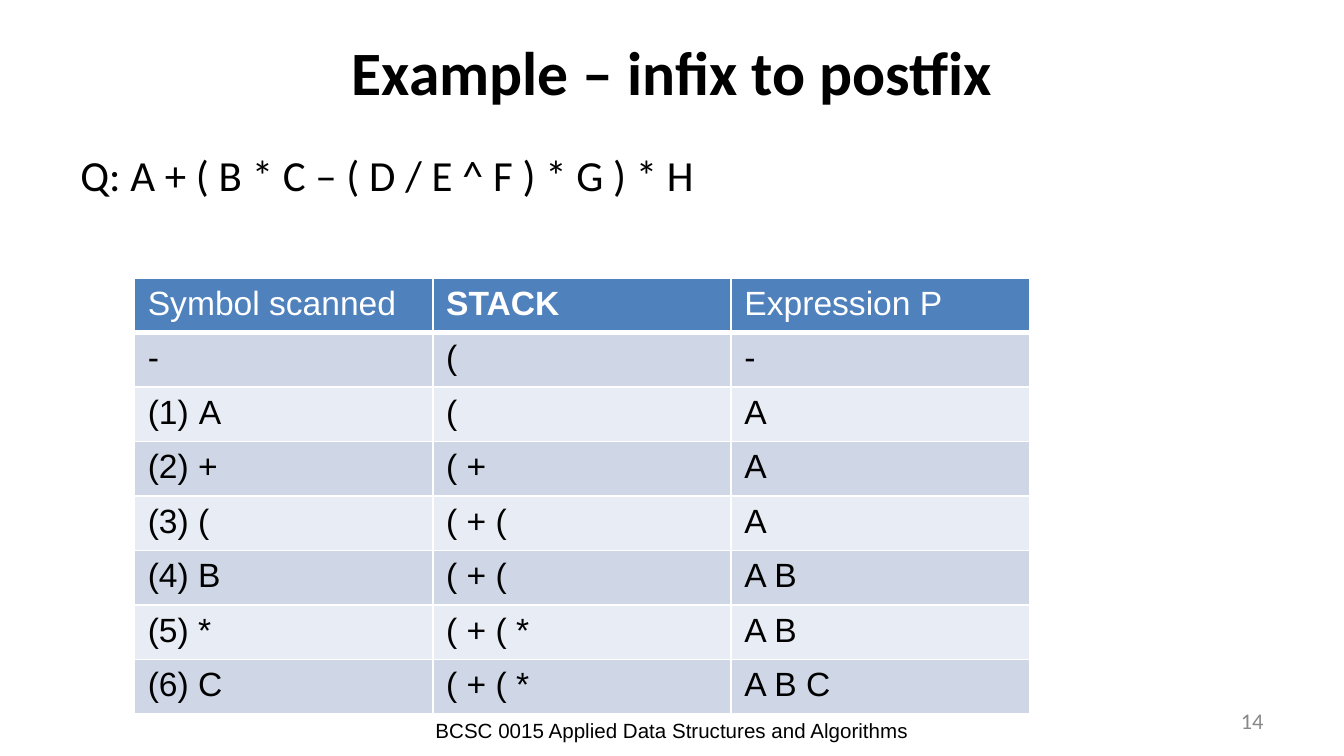
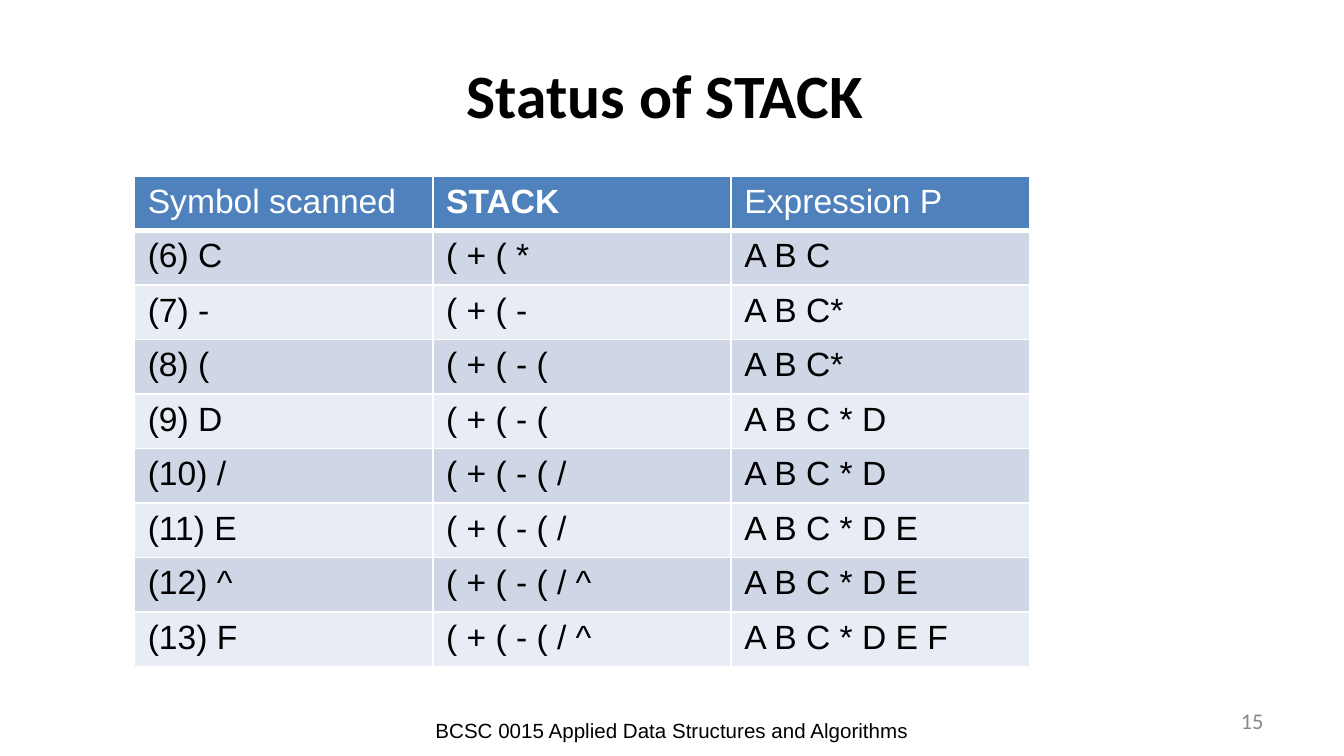
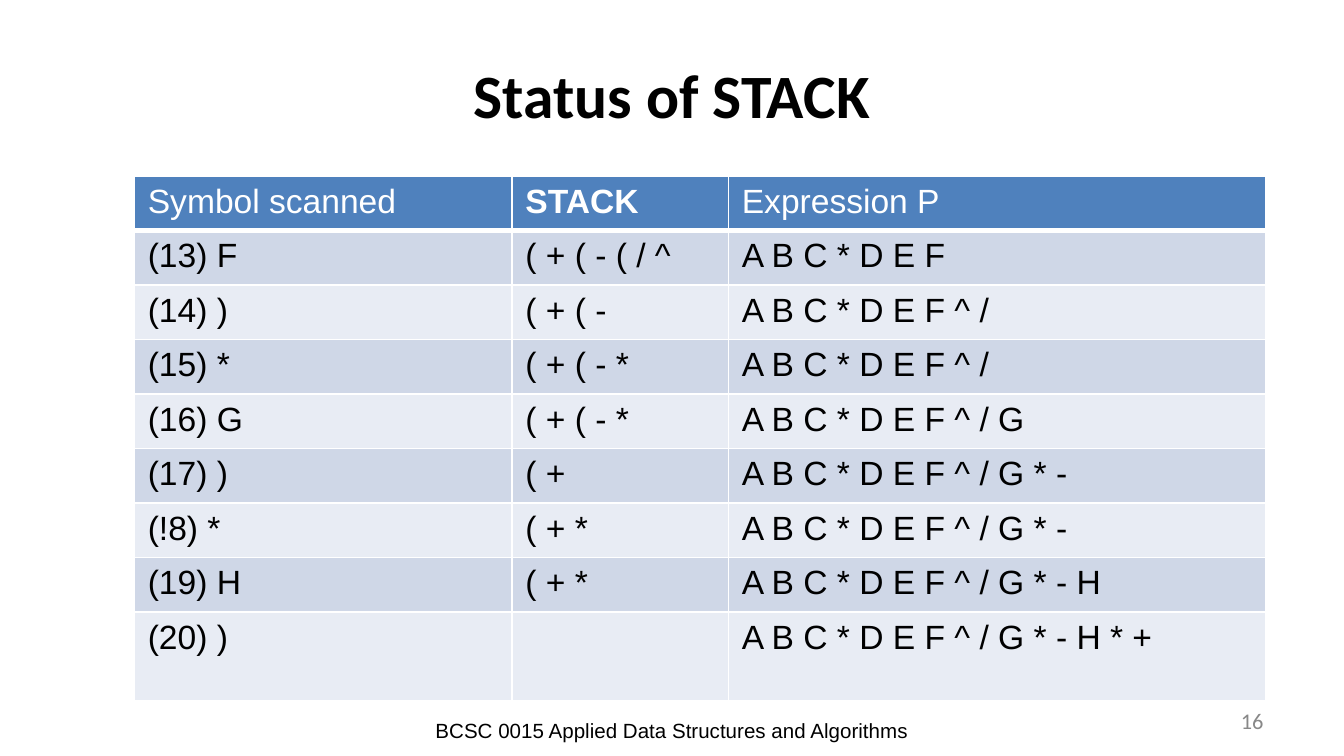
"""Build three slides that trace an infix to postfix conversion with a stack."""
from lxml.etree import SubElement
from pptx import Presentation
from pptx.dml.color import RGBColor
from pptx.enum.text import MSO_ANCHOR as Anchor, PP_ALIGN as Align
from pptx.oxml.ns import qn
from pptx.util import Inches, Pt

BLACK = RGBColor(0x00, 0x00, 0x00)
WHITE = RGBColor(0xFF, 0xFF, 0xFF)
GRAY = RGBColor(0x88, 0x88, 0x88)
HEADER_BLUE = RGBColor(0x4F, 0x81, 0xBD)
BANDS = [RGBColor(0xE8, 0xEC, 0xF4), RGBColor(0xCF, 0xD7, 0xE7)]

FOOTER = "BCSC 0015 Applied Data Structures and Algorithms"
HEADERS = ["Symbol scanned", "STACK", "Expression P"]
ROW_HEIGHT = 3.65 / 9
HANGING = 0.38

SLIDES = [
    {
        "title": "Example – infix to postfix",
        "title_top": 0.06,
        "question": "Q: A + ( B * C – ( D / E ^ F ) * G ) * H",
        "number": 14,
        "table_top": 2.07,
        "columns": [2.22, 2.22, 2.22],
        "steps": [
            ("-", "(", "-"),
            ("A", "(", "A"),
            ("(2) +", "( +", "A"),
            ("(3) (", "( + (", "A"),
            ("(4) B", "( + (", "A B"),
            ("(5) *", "( + ( *", "A B"),
            ("(6) C", "( + ( *", "A B C"),
        ],
    },
    {
        "title": "Status of STACK ",
        "title_top": 0.23,
        "number": 15,
        "table_top": 1.31,
        "columns": [2.22, 2.22, 2.22],
        "steps": [
            ("(6) C", "( + ( *", "A B C"),
            ("(7) -", "( + ( -", "A B C*"),
            ("(8) (", "( + ( - (", "A B C*"),
            ("(9) D", "( + ( - (", "A B C * D"),
            ("(10) /", "( + ( - ( /", "A B C * D"),
            ("(11) E", "( + ( - ( /", "A B C * D E"),
            ("(12) ^", "( + ( - ( / ^", "A B C * D E"),
            ("(13) F", "( + ( - ( / ^", "A B C * D E F"),
        ],
    },
    {
        "title": "Status of STACK",
        "title_top": 0.23,
        "number": 16,
        "table_top": 1.31,
        "columns": [2.81, 1.61, 4],
        "last_height": 0.66,
        "steps": [
            ("(13) F", "( + ( - ( / ^", "A B C * D E F"),
            ("(14) )", "( + ( -", "A B C * D E F ^ /"),
            ("(15) *", "( + ( - *", "A B C * D E F ^ /"),
            ("(16) G", "( + ( - *", "A B C * D E F ^ / G"),
            ("(17) )", "( +", "A B C * D E F ^ / G * -"),
            ("(!8) *", "( + *", "A B C * D E F ^ / G * -"),
            ("(19) H", "( + *", "A B C * D E F ^ / G * - H"),
            ("(20) )", "", "A B C * D E F ^ / G * - H * +"),
        ],
    },
]


def write_text(frame, text, size=18, font="Arial", color=BLACK, bold=False, align=Align.LEFT,
               anchor=Anchor.TOP, inset=0.05, hanging=0, numbered=False):
    frame.word_wrap = True
    frame.vertical_anchor = anchor
    frame.margin_left = frame.margin_right = Inches(0.1)
    frame.margin_top = frame.margin_bottom = Inches(inset)
    para = frame.paragraphs[0]
    para.alignment = align
    if hanging:
        properties = para._p.get_or_add_pPr()
        properties.set("marL", str(Inches(hanging)))
        properties.set("indent", str(-Inches(hanging)))
        if numbered:
            SubElement(properties, qn("a:buAutoNum"), type="arabicParenBoth")
    if text:
        para.add_run().text = text
    for target in [para, *para.runs]:
        target.font.size = Pt(size)
        target.font.name = font
        target.font.bold = bold
        target.font.color.rgb = color


def add_border(cell, side, width):
    line = SubElement(cell._tc.get_or_add_tcPr(), qn(f"a:ln{side}"), w=str(Pt(width)))
    fill = SubElement(line, qn("a:solidFill"))
    SubElement(fill, qn("a:srgbClr"), val=str(WHITE))


deck = Presentation()
deck.slide_width = Inches(10)
deck.slide_height = Inches(10 * 9 / 16)

for content in SLIDES:
    page = deck.slides.add_slide(deck.slide_layouts[6])
    calibri = {"font": "Calibri", "anchor": Anchor.MIDDLE}
    texts = [
        (FOOTER, (0.05, 5.25, 9.9, 0.39), {"size": 11, "align": Align.CENTER, "inset": 0.1}),
        (content["title"], (0.5, content["title_top"], 9, 0.94),
         {**calibri, "size": 33, "bold": True, "align": Align.CENTER}),
        (str(content["number"]), (7.17, 5.21, 2.33, 0.3),
         {**calibri, "size": 12, "color": GRAY, "align": Align.RIGHT}),
    ]
    if "question" in content:
        texts.append((content["question"], (0.5, 1.06, 9, 0.75),
                      {"font": "Calibri", "size": 23, "hanging": HANGING}))
    for text, place, style in texts:
        box = page.shapes.add_textbox(*map(Inches, place))
        write_text(box.text_frame, text, **style)

    rows = [HEADERS, *content["steps"]]
    widths = content["columns"]
    table = page.shapes.add_table(
        len(rows), len(widths), Inches(1), Inches(content["table_top"]),
        Inches(sum(widths)), Inches(ROW_HEIGHT * len(rows))).table
    for column, width in zip(table.columns, widths):
        column.width = Inches(width)
    for row in table.rows:
        row.height = Inches(ROW_HEIGHT)
    table.rows[len(rows) - 1].height = Inches(content.get("last_height", ROW_HEIGHT))

    for row_index, values in enumerate(rows):
        header = row_index == 0
        for column_index, value in enumerate(values):
            cell = table.cell(row_index, column_index)
            add_border(cell, "L", 1)
            add_border(cell, "R", 1)
            add_border(cell, "T", 3 if row_index == 1 else 1)
            add_border(cell, "B", 3 if header else 1)
            cell.fill.solid()
            cell.fill.fore_color.rgb = HEADER_BLUE if header else BANDS[row_index % 2]
            numbered = value == "A" and column_index == 0
            write_text(cell.text_frame, value, color=WHITE if header else BLACK,
                       bold=value == "STACK", hanging=HANGING if numbered else 0,
                       numbered=numbered)

deck.save("out.pptx")
